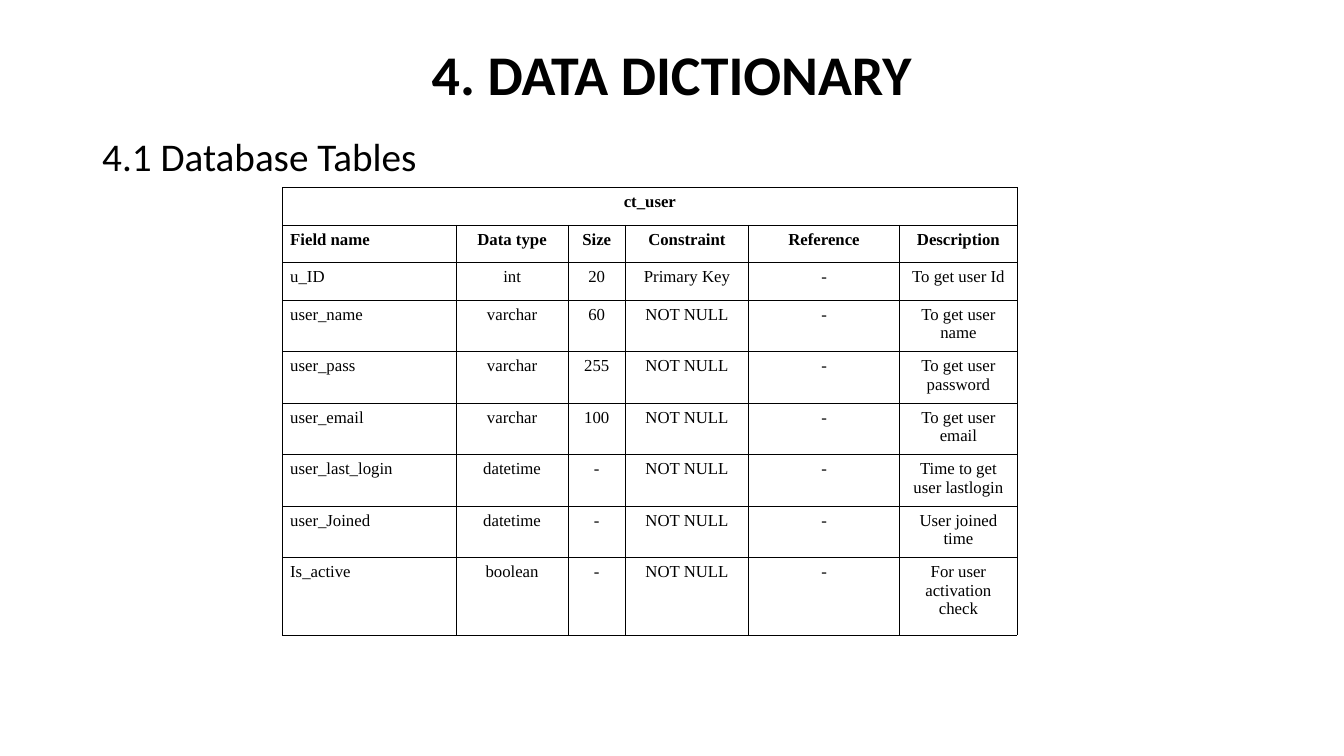
import pptx
import pptx.util
import pptx.dml.color
import pptx.enum.text
import pptx.oxml
import pptx.oxml.ns

Pt = pptx.util.Pt
ALIGN = pptx.enum.text.PP_ALIGN
ANCHOR = pptx.enum.text.MSO_ANCHOR
COLORS = {"ink": "000000"}

COLUMN_WIDTHS = [124, 80, 41, 88, 108, 84]
ROW_HEIGHTS = [26.8] * 3 + [36.8] * 5 + [55.4]
HEADINGS = ["Field name", "Data type", "Size", "Constraint", "Reference", "Description"]
FIELDS = [
    ["u_ID", "int", "20", "Primary Key", "-", "To get user Id"],
    ["user_name", "varchar", "60", "NOT NULL", "-", "To get user name"],
    ["user_pass", "varchar", "255", "NOT NULL", "-", "To get user password"],
    ["user_email", "varchar", "100", "NOT NULL", "-", "To get user email"],
    ["user_last_login", "datetime", "-", "NOT NULL", "-", "Time to get user lastlogin"],
    ["user_Joined", "datetime", "-", "NOT NULL", "-", "User joined time"],
    ["Is_active", "boolean", "-", "NOT NULL", "-", "For user activation check"],
]


def write(frame, text, font, size, bold=False, align=ALIGN.LEFT, spacing=1.0):
    frame.text = text
    frame.word_wrap = True
    para = frame.paragraphs[0]
    para.alignment = align
    para.line_spacing = spacing
    para.space_before = Pt(0)
    for span in para.runs:
        span.font.name = font
        span.font.size = Pt(size)
        span.font.bold = bold
        span.font.color.rgb = pptx.dml.color.RGBColor.from_string(COLORS["ink"])


def place(shape, left, top, width, height):
    shape.left, shape.top = Pt(left), Pt(top)
    shape.width, shape.height = Pt(width), Pt(height)


def add_title(page, text):
    title = page.shapes.title
    place(title, 66, 29, 828, 53)
    write(title.text_frame, text, "Calibri", 40, True, ALIGN.CENTER, 0.9)
    title.text_frame.vertical_anchor = ANCHOR.MIDDLE


def add_subtitle(page, text):
    box = page.shapes.add_textbox(Pt(66), Pt(95), Pt(828), Pt(392))
    write(box.text_frame, text, "Calibri", 28, spacing=0.9)


def add_borders(cell):
    properties = cell._tc.get_or_add_tcPr()
    for side in ("lnL", "lnR", "lnT", "lnB"):
        properties.append(pptx.oxml.parse_xml(
            f'<a:{side} {pptx.oxml.ns.nsdecls("a")} w="{Pt(0.45)}"><a:solidFill>'
            f'<a:srgbClr val="{COLORS["ink"]}"/></a:solidFill></a:{side}>'))


def format_cell(cell):
    add_borders(cell)
    cell.fill.background()
    cell.margin_left = cell.margin_right = Pt(5.4)
    cell.margin_top = cell.margin_bottom = Pt(3.6)
    cell.vertical_anchor = ANCHOR.TOP


def add_dictionary(page, name):
    table = page.shapes.add_table(
        len(ROW_HEIGHTS), len(COLUMN_WIDTHS), Pt(202), Pt(134),
        Pt(sum(COLUMN_WIDTHS)), Pt(sum(ROW_HEIGHTS))).table
    table.first_row = table.horz_banding = False
    for column, width in zip(table.columns, COLUMN_WIDTHS):
        column.width = Pt(width)
    for row, height in zip(table.rows, ROW_HEIGHTS):
        row.height = Pt(height)
    for cell in table.iter_cells():
        format_cell(cell)

    table.cell(0, 0).merge(table.cell(0, len(COLUMN_WIDTHS) - 1))
    write(table.cell(0, 0).text_frame, name, "Times New Roman", 12, True, ALIGN.CENTER)
    for row, values in enumerate([HEADINGS] + FIELDS, start=1):
        for column, value in enumerate(values):
            align = ALIGN.CENTER if column else ALIGN.LEFT
            write(table.cell(row, column).text_frame, value,
                  "Times New Roman", 12, row == 1, align)


def main():
    deck = pptx.Presentation()
    deck.slide_width, deck.slide_height = Pt(960.48), Pt(540)
    page = deck.slides.add_slide(deck.slide_layouts[5])
    add_title(page, "4. DATA DICTIONARY")
    add_subtitle(page, "4.1 Database Tables")
    add_dictionary(page, "ct_user")
    deck.save("out.pptx")


if __name__ == "__main__":
    main()
